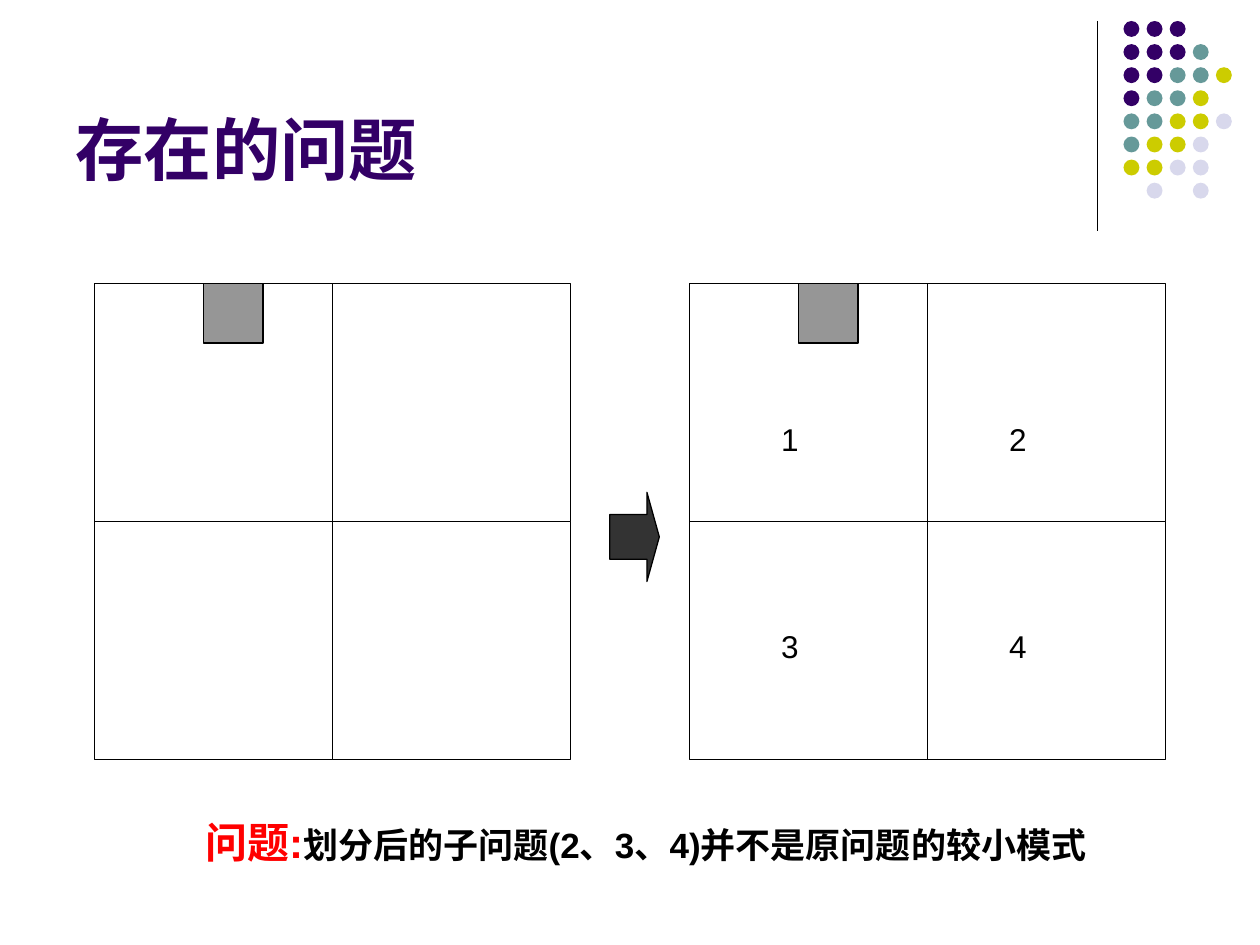
"""Build the slide on the chessboard covering problem and its subproblems."""
from lxml import etree
from pptx import Presentation
from pptx.dml.color import RGBColor
from pptx.enum import shapes, text
from pptx.oxml import ns
from pptx.util import Pt

COLORS = {
    "purple": "330066", "teal": "669999", "olive": "CCCC00", "lilac": "D8D8EC",
    "black": "000000", "white": "FFFFFF", "gray": "969696", "dark": "333333",
    "red": "FF0000",
}
DOT_CODES = {"p": "purple", "t": "teal", "o": "olive", "l": "lilac"}
DOT_ROWS = ["ppp", "pppt", "pptto", "ptto", "ttool", "tool", "ooll", " l l"]
QUADRANT = 136.1
BOARD_TOP = 162


def rgb(name):
    return RGBColor.from_string(COLORS[name])


def add_figure(parent, kind, box, fill, outline=None):
    figure = parent.add_shape(kind, *map(Pt, box))
    figure.shadow.inherit = False
    figure.fill.solid()
    figure.fill.fore_color.rgb = rgb(fill)
    if outline:
        figure.line.color.rgb = rgb(outline)
        figure.line.width = Pt(0.75)
    else:
        figure.line.fill.background()
    return figure


def add_divider(slide, x, top, bottom):
    divider = slide.shapes.add_connector(
        shapes.MSO_CONNECTOR.STRAIGHT, Pt(x), Pt(top), Pt(x), Pt(bottom))
    divider.line.color.rgb = rgb("black")
    divider.line.width = Pt(0.75)
    etree.SubElement(divider._element.spPr, ns.qn("a:effectLst"))


def add_dots(slide, left, top, pitch=13.2, size=9.1):
    dots = slide.shapes.add_group_shape().shapes
    for row, codes in enumerate(DOT_ROWS):
        for column, code in enumerate(codes):
            if code in DOT_CODES:
                box = (left + column * pitch, top + row * pitch, size, size)
                add_figure(dots, shapes.MSO_SHAPE.OVAL, box, DOT_CODES[code])


def add_board(slide, left):
    board = slide.shapes.add_group_shape().shapes
    for row in range(2):
        for column in range(2):
            box = (left + column * QUADRANT, BOARD_TOP + row * QUADRANT,
                   QUADRANT, QUADRANT)
            add_figure(board, shapes.MSO_SHAPE.RECTANGLE, box, "white", "black")
    special_cell = (left + 62.3, BOARD_TOP, 34, 34)
    add_figure(board, shapes.MSO_SHAPE.RECTANGLE, special_cell, "gray", "black")


def add_text(slide, box, parts, bold=False):
    frame = slide.shapes.add_textbox(*map(Pt, box)).text_frame
    frame.word_wrap = True
    frame.auto_size = text.MSO_AUTO_SIZE.SHAPE_TO_FIT_TEXT
    paragraph = frame.paragraphs[0]
    paragraph.font.name = "Arial"
    paragraph.font.bold = bold
    for words, size, color in parts:
        run = paragraph.add_run()
        run.text = words
        run.font.size = Pt(size)
        run.font.color.rgb = rgb(color)


def set_title(slide, words):
    title = slide.shapes.title
    title.left, title.top, title.width, title.height = map(Pt, (36, 9.4, 594, 102.2))
    title.text_frame.text = words
    title.text_frame.vertical_anchor = text.MSO_ANCHOR.BOTTOM
    heading = title.text_frame.paragraphs[0]
    heading.alignment = text.PP_ALIGN.LEFT
    heading.font.name = "Arial"
    heading.font.size = Pt(39)
    heading.font.bold = True
    heading.font.color.rgb = rgb("purple")


def main():
    deck = Presentation()
    deck.slide_width, deck.slide_height = Pt(720), Pt(540)
    slide = deck.slides.add_slide(deck.slide_layouts[5])
    add_divider(slide, 627, 12, 132)
    add_dots(slide, 642, 12)
    set_title(slide, "存在的问题")
    for left in (54, 394):
        add_board(slide, left)
    arrow = add_figure(slide.shapes, shapes.MSO_SHAPE.RIGHT_ARROW,
                       (348.5, 281.3, 28.3, 51), "dark", "black")
    arrow.adjustments[0] = 0.5
    arrow.adjustments[1] = 0.25
    for index in range(4):
        row, column = divmod(index, 2)
        box = (439.2 + column * 130.3, 236.2 + row * 118.8, 39.6, 28.8)
        add_text(slide, box, [(str(index + 1), 18, "black")])
    add_text(slide, (110.2, 463, 532.8, 36), [
        ("问题:", 24, "red"),
        ("划分后的子问题(2、3、4)并不是原问题的较小模式", 20, "black"),
    ], bold=True)
    deck.save("out.pptx")


if __name__ == "__main__":
    main()
